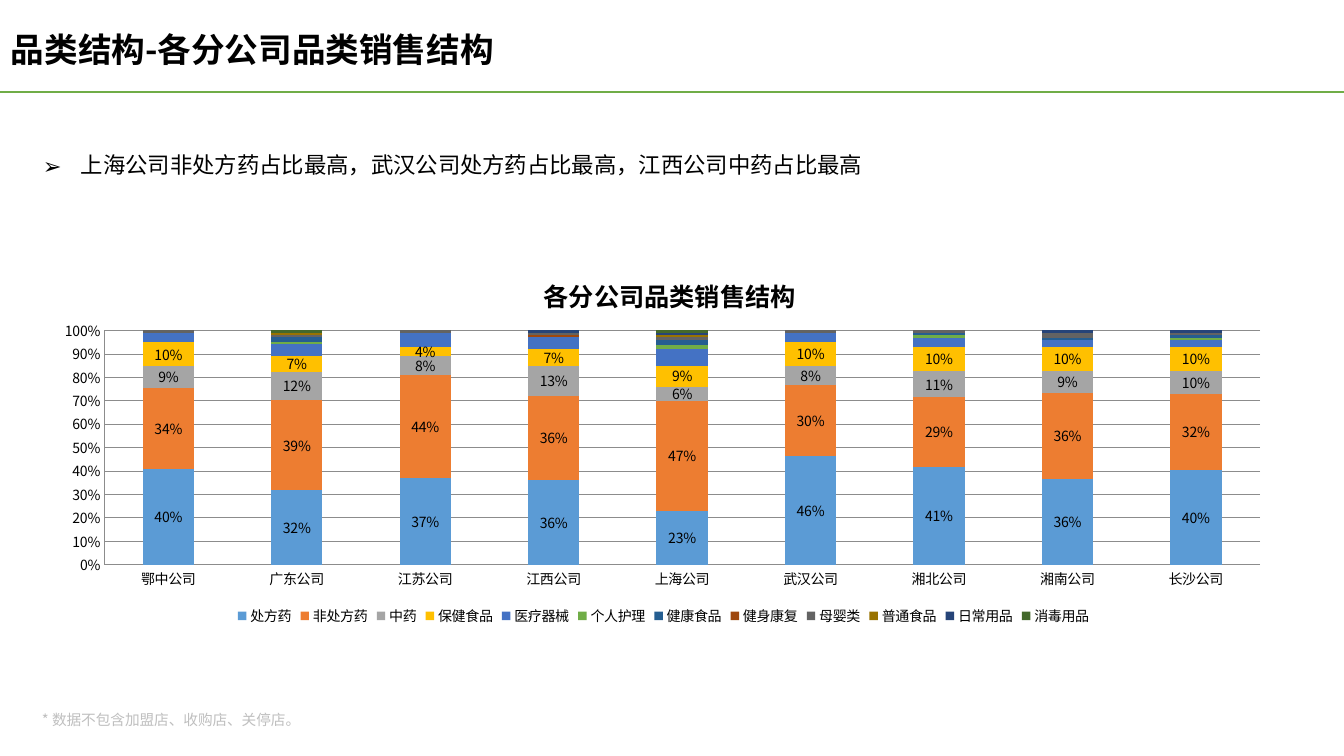
"""Build the slide on the sales structure of each branch company by category."""
from dataclasses import dataclass

import pptx
import pptx.chart.data
import pptx.dml.color
import pptx.enum.chart
import pptx.enum.shapes
import pptx.enum.text
import pptx.oxml
import pptx.oxml.ns
import pptx.util

FONT = "Noto Sans CJK SC"
BLACK, GREY, GREEN, RULE = "000000", "BFBFBF", "70AD47", "8C8C8C"
BRANCHES = ["鄂中公司", "广东公司", "江苏公司", "江西公司", "上海公司",
            "武汉公司", "湘北公司", "湘南公司", "长沙公司"]


@dataclass(frozen=True)
class Box:
    left: int
    top: int
    width: int
    height: int


@dataclass(frozen=True)
class Label:
    text: str
    box: Box
    size: float
    color: str = BLACK
    bold: bool = False
    wrap: bool = True
    spacing: float = 0.9
    bullet: str = ""
    anchor: pptx.enum.text.MSO_ANCHOR = pptx.enum.text.MSO_ANCHOR.TOP


@dataclass(frozen=True)
class Category:
    name: str
    color: str
    percents: tuple[int, ...]
    labelled: bool = False


LABELS = [
    Label("品类结构-各分公司品类销售结构", Box(11, 33, 634, 36), 24, bold=True),
    Label("* 数据不包含加盟店、收购店、关停店。", Box(42, 713, 263, 16), 10.5, GREY, wrap=False),
    Label("上海公司非处方药占比最高，武汉公司处方药占比最高，江西公司中药占比最高",
          Box(43, 138, 1257, 40), 16, spacing=1.5, bullet="➢",
          anchor=pptx.enum.text.MSO_ANCHOR.MIDDLE),
]
CHART_BOX = Box(42, 246, 1243, 384)
CATEGORIES = [
    Category("处方药", "5B9BD5", (40, 32, 37, 36, 23, 46, 41, 36, 40), True),
    Category("非处方药", "ED7D31", (34, 39, 44, 36, 47, 30, 29, 36, 32), True),
    Category("中药", "A5A5A5", (9, 12, 8, 13, 6, 8, 11, 9, 10), True),
    Category("保健食品", "FFC000", (10, 7, 4, 7, 9, 10, 10, 10, 10), True),
    Category("医疗器械", "4472C4", (4, 5, 6, 5, 7, 4, 4, 3, 3)),
    Category("个人护理", "70AD47", (0, 1, 0, 0, 2, 0, 1, 0, 1)),
    Category("健康食品", "255E91", (0, 2, 0, 0, 2, 0, 1, 1, 1)),
    Category("健身康复", "9E480E", (0, 0, 0, 1, 0, 0, 0, 0, 0)),
    Category("母婴类", "636363", (1, 1, 1, 1, 1, 1, 1, 2, 1)),
    Category("普通食品", "997300", (0, 1, 0, 0, 1, 0, 0, 0, 0)),
    Category("日常用品", "264478", (0, 0, 0, 1, 1, 0, 0, 1, 1)),
    Category("消毒用品", "43682B", (0, 1, 0, 0, 1, 0, 0, 0, 0)),
]


def px(length: int) -> pptx.util.Emu:
    """Turn pixels into EMU."""
    return pptx.util.Emu(round(length * 914400 / 100.8))


def place(box: Box) -> tuple[pptx.util.Emu, ...]:
    """Give the left, top, width and height of a box in EMU."""
    return px(box.left), px(box.top), px(box.width), px(box.height)


def rgb(color: str) -> pptx.dml.color.RGBColor:
    """Turn a hex string into a colour."""
    return pptx.dml.color.RGBColor.from_string(color)


def add_child(parent, tag: str, **attributes: str):
    """Append an XML element to its parent."""
    child = pptx.oxml.parse_xml(f"<{tag} {pptx.oxml.ns.nsdecls(tag.split(':')[0])}/>")
    for name, value in attributes.items():
        child.set(name, value)
    parent.append(child)
    return child


def style_font(font, size: float, color: str = BLACK, bold: bool = False) -> None:
    """Set size, colour, weight and both typefaces of a font."""
    font.size, font.bold, font.name = pptx.util.Pt(size), bold, FONT
    font.color.rgb = rgb(color)
    add_child(font._element, "a:ea", typeface=FONT)


def style_line(line, color: str, width: float) -> None:
    """Set the colour and width of a line."""
    line.color.rgb = rgb(color)
    line.width = pptx.util.Pt(width)


def add_label(slide, label: Label) -> None:
    """Draw a text box."""
    frame = slide.shapes.add_textbox(*place(label.box)).text_frame
    frame.margin_left = frame.margin_right = frame.margin_top = frame.margin_bottom = 0
    frame.word_wrap, frame.vertical_anchor = label.wrap, label.anchor
    paragraph = frame.paragraphs[0]
    if label.bullet:
        properties = paragraph._p.get_or_add_pPr()
        properties.set("marL", str(px(38)))
        properties.set("indent", str(px(-38)))
        add_child(properties, "a:buFont", typeface=FONT)
        add_child(properties, "a:buChar", char=label.bullet)
    paragraph.line_spacing = label.spacing
    run = paragraph.add_run()
    run.text = label.text
    style_font(run.font, label.size, label.color, label.bold)


def add_rule(slide) -> None:
    """Draw the green line under the title."""
    rule = slide.shapes.add_connector(
        pptx.enum.shapes.MSO_CONNECTOR.STRAIGHT, 0, px(92), px(1344), px(92))
    style_line(rule.line, GREEN, 1.5)
    add_child(rule._element.spPr, "a:effectLst")


def set_layout(element, **fractions: float) -> None:
    """Fix the position of a chart part as fractions of the chart."""
    for layout in element.findall(pptx.oxml.ns.qn("c:layout")):
        element.remove(layout)
    layout = add_child(element, "c:layout")
    manual = add_child(layout, "c:manualLayout")
    if "w" in fractions:
        add_child(manual, "c:layoutTarget", val="inner")
    for mode in ("xMode", "yMode"):
        add_child(manual, f"c:{mode}", val="edge")
    for name, value in fractions.items():
        add_child(manual, f"c:{name}", val=str(value))
    text = element.find(pptx.oxml.ns.qn("c:tx"))
    element.insert(0 if text is None else 1, layout)


def add_sales_chart(slide) -> None:
    """Draw the stacked columns of category shares."""
    data = pptx.chart.data.CategoryChartData(number_format="0%")
    data.categories = BRANCHES
    for category in CATEGORIES:
        data.add_series(category.name, [percent / 100 for percent in category.percents])
    chart = slide.shapes.add_chart(
        pptx.enum.chart.XL_CHART_TYPE.COLUMN_STACKED_100, *place(CHART_BOX), data).chart
    style_font(chart.font, 10)

    title = chart.chart_title
    run = title.text_frame.paragraphs[0].add_run()
    run.text = "各分公司品类销售结构"
    style_font(run.font, 18, bold=True)
    set_layout(title._element, x=0.4, y=0.06)
    set_layout(chart._chartSpace.chart.plotArea, x=0.05, y=0.22, w=0.93, h=0.61)

    chart.has_legend = True
    chart.legend.position = pptx.enum.chart.XL_LEGEND_POSITION.BOTTOM
    chart.legend.include_in_layout = False
    style_font(chart.legend.font, 10)

    for axis in (chart.category_axis, chart.value_axis):
        axis.major_tick_mark = axis.minor_tick_mark = pptx.enum.chart.XL_TICK_MARK.NONE
        style_line(axis.format.line, RULE, 0.5)
        style_font(axis.tick_labels.font, 10)
    values = chart.value_axis
    values.minimum_scale, values.maximum_scale, values.major_unit = 0, 1, 0.1
    values.tick_labels.number_format = "0%"
    values.tick_labels.number_format_is_linked = False
    style_line(values.major_gridlines.format.line, RULE, 0.5)

    plot = chart.plots[0]
    plot.gap_width, plot.overlap, plot.vary_by_categories = 150, 100, False
    for series, category in zip(plot.series, CATEGORIES):
        series.format.fill.solid()
        series.format.fill.fore_color.rgb = rgb(category.color)
        if category.labelled:
            labels = series.data_labels
            labels.show_value = True
            labels.number_format, labels.number_format_is_linked = "0%", False
            labels.position = pptx.enum.chart.XL_LABEL_POSITION.CENTER
            style_font(labels.font, 10)


def main() -> None:
    """Build and save the presentation."""
    presentation = pptx.Presentation()
    presentation.slide_width, presentation.slide_height = px(1344), px(756)
    slide = presentation.slides.add_slide(presentation.slide_layouts[6])
    add_rule(slide)
    add_sales_chart(slide)
    for label in LABELS:
        add_label(slide, label)
    presentation.save("out.pptx")


if __name__ == "__main__":
    main()
